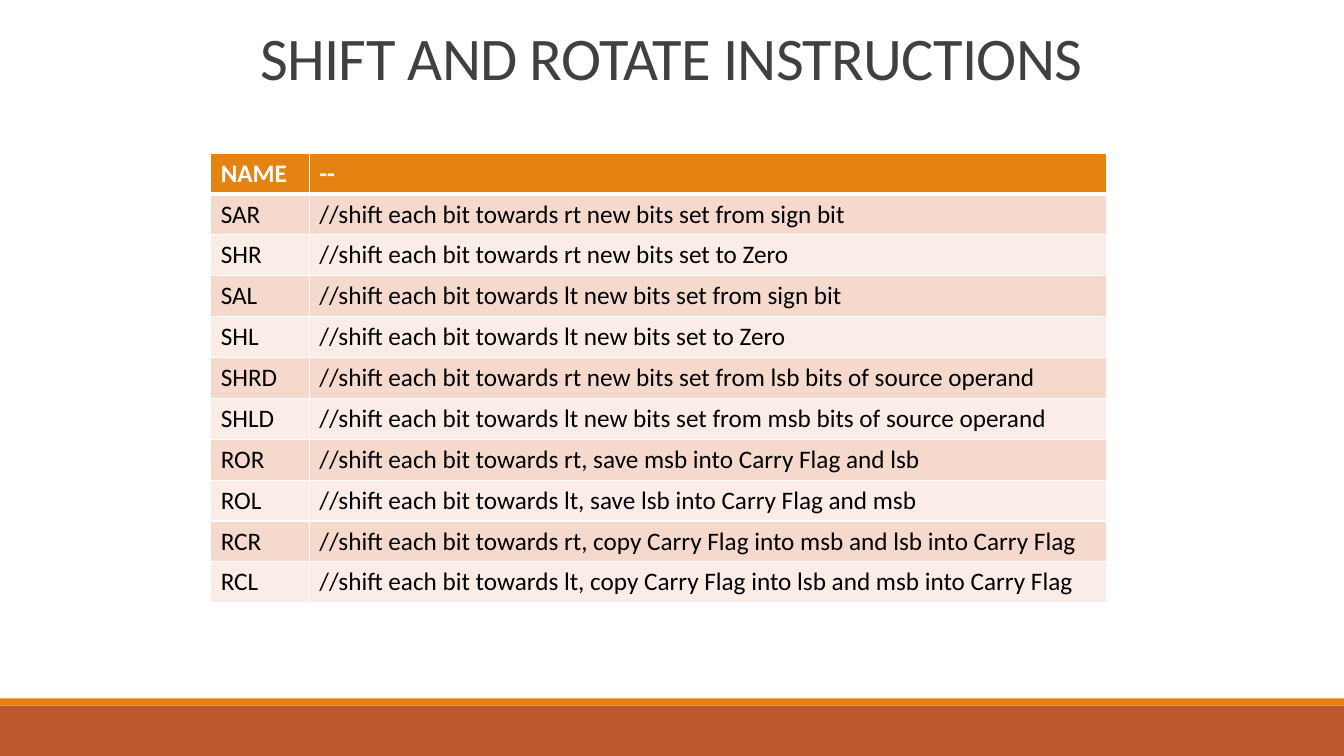
from lxml import etree
from pptx import Presentation
from pptx.dml.color import RGBColor
from pptx.enum.shapes import MSO_SHAPE
from pptx.enum.text import MSO_ANCHOR, PP_ALIGN
from pptx.oxml.ns import qn
from pptx.util import Pt

RECT = MSO_SHAPE.RECTANGLE
BOTTOM = MSO_ANCHOR.BOTTOM
CENTER = PP_ALIGN.CENTER

COLORS = {
    "rust": "BD582C", "orange": "E48312", "title": "404040",
    "white": "FFFFFF", "black": "000000", "odd": "F5D9CC", "even": "FAEDE7",
}
WIDE, HIGH = 960, 540
ROW = 29.2
COLS = (70.5, 569.5)
ROWS = [
    ("NAME", "--"),
    ("SAR", "//shift each bit towards rt new bits set from sign bit"),
    ("SHR", "//shift each bit towards rt new bits set to Zero"),
    ("SAL", "//shift each bit towards lt new bits set from sign bit"),
    ("SHL", "//shift each bit towards lt new bits set to Zero"),
    ("SHRD", "//shift each bit towards rt new bits set from lsb bits of source operand"),
    ("SHLD", "//shift each bit towards lt new bits set from msb bits of source operand"),
    ("ROR", "//shift each bit towards rt, save msb into Carry Flag and lsb"),
    ("ROL", "//shift each bit towards lt, save lsb into Carry Flag and msb"),
    ("RCR", "//shift each bit towards rt, copy Carry Flag into msb and lsb into Carry Flag"),
    ("RCL", "//shift each bit towards lt, copy Carry Flag into lsb and msb into Carry Flag"),
]


def rgb(name):
    return RGBColor.from_string(COLORS[name])


def paint(item, color):
    item.fill.solid()
    item.fill.fore_color.rgb = rgb(color)


def style(run, color, **form):
    run.font.color.rgb = rgb(color)
    for key, value in {"name": "Calibri", **form}.items():
        setattr(run.font, key, value)


def add_bar(slide, top, height, color):
    bar = slide.shapes.add_shape(RECT, 0, Pt(top), Pt(WIDE), Pt(height))
    bar.shadow.inherit = False
    paint(bar, color)
    bar.line.fill.background()


def add_title(slide, text):
    box = slide.shapes.add_textbox(Pt(150.5), Pt(26.6), Pt(658), Pt(43.2))
    frame = box.text_frame
    frame.word_wrap = True
    frame.vertical_anchor = BOTTOM
    para = frame.paragraphs[0]
    para.alignment = CENTER
    para.line_spacing = 0.85
    run = para.add_run()
    run.text = text
    style(run, "title", size=Pt(43.2))
    run.font._element.set("spc", "-50")


def add_edges(cell, widths):
    """Draw white cell borders; widths maps L, R, T, B to points."""
    props = cell._tc.get_or_add_tcPr()
    for i, (side, width) in enumerate(widths.items()):
        line = etree.Element(qn(f"a:ln{side}"), w=str(Pt(width)))
        fill = etree.SubElement(line, qn("a:solidFill"))
        etree.SubElement(fill, qn("a:srgbClr"), val=COLORS["white"])
        props.insert(i, line)


def add_grid(slide, rows):
    frame = slide.shapes.add_table(
        len(rows), len(COLS), Pt(150.5), Pt(109.4), Pt(sum(COLS)), Pt(ROW * len(rows)))
    table = frame.table
    for col, width in zip(table.columns, COLS):
        col.width = Pt(width)
    for r, texts in enumerate(rows):
        table.rows[r].height = Pt(ROW)
        head = r == 0
        back = "orange" if head else "odd" if r % 2 else "even"
        edges = {"L": 1, "R": 1, "T": 3 if r == 1 else 1, "B": 3 if head else 1}
        for c, text in enumerate(texts):
            cell = table.cell(r, c)
            paint(cell, back)
            add_edges(cell, edges)
            run = cell.text_frame.paragraphs[0].add_run()
            run.text = text
            style(run, "white" if head else "black", size=Pt(18), bold=head)


def main():
    deck = Presentation()
    deck.slide_width, deck.slide_height = Pt(WIDE), Pt(HIGH)
    slide = deck.slides.add_slide(deck.slide_layouts[6])
    add_bar(slide, 504, 36, "rust")
    add_bar(slide, 498.8, 5.2, "orange")
    add_title(slide, "SHIFT AND ROTATE INSTRUCTIONS")
    add_grid(slide, ROWS)
    deck.save("out.pptx")


if __name__ == "__main__":
    main()
